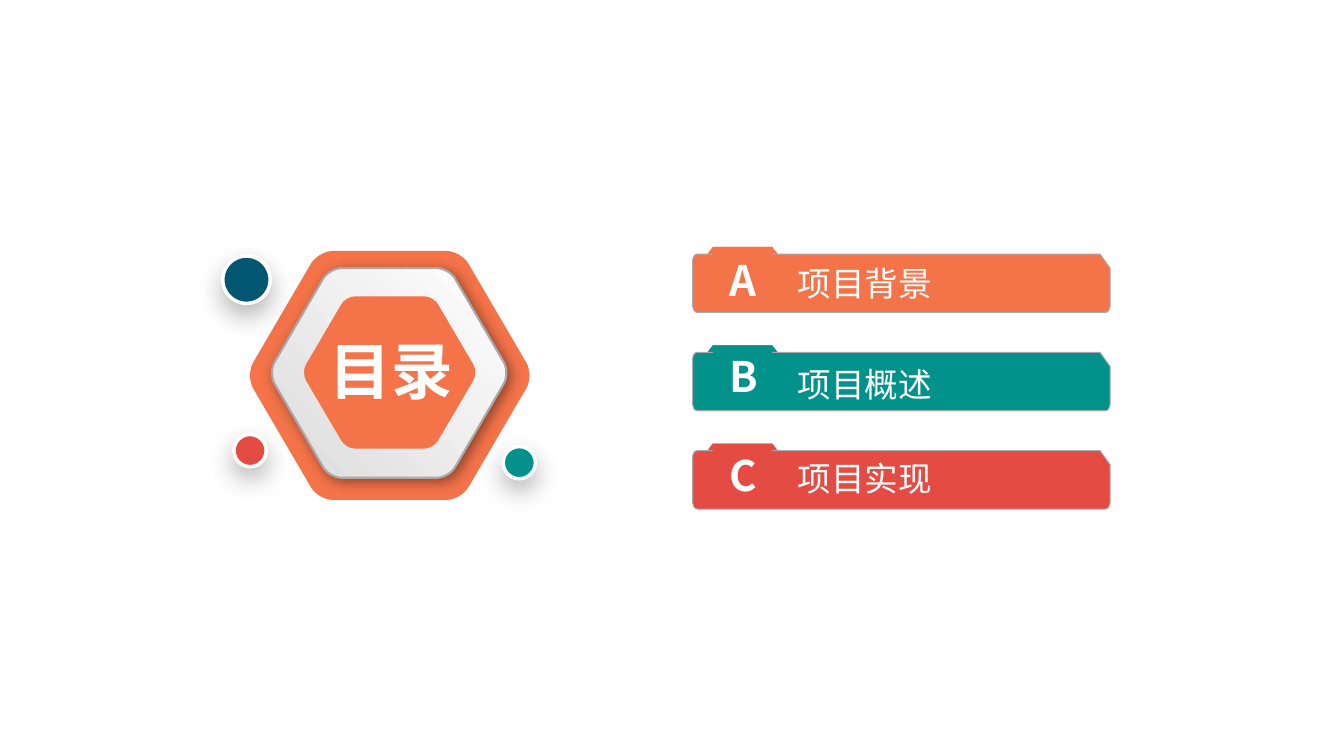
from dataclasses import dataclass

from lxml.etree import SubElement
from pptx import Presentation
from pptx.dml.color import RGBColor
from pptx.enum.shapes import MSO_SHAPE as Preset
from pptx.enum.text import MSO_ANCHOR as Anchor, MSO_AUTO_SIZE as AutoSize, PP_ALIGN as Align
from pptx.oxml.ns import qn
from pptx.util import Inches, Pt


@dataclass(frozen=True)
class Theme:
    font: str = "Noto Sans CJK SC"
    orange: str = "F47349"
    teal: str = "02918B"
    red: str = "E44B42"
    navy: str = "015672"
    white: str = "FFFFFF"
    silver: str = "DCDCDC"
    edge: str = "A8A9AD"
    black: str = "000000"
    charcoal: str = "262626"
    title_size: int = 44
    letter_size: int = 30
    label_size: int = 24


THEME = Theme()
ROW_TOP, ROW_PITCH = 2.45, 0.975
ROWS = [
    ("A", "项目背景", THEME.orange, 2.48, 2.57),
    ("B", "项目概述", THEME.teal, 3.44, 3.57),
    ("C", "项目实现", THEME.red, 4.42, 4.5),
]
DOTS = [
    (2.32, 4.31, 0.32, THEME.red),
    (4.99, 4.43, 0.32, THEME.teal),
    (2.21, 2.54, 0.47, THEME.navy),
]


def color(value):
    return RGBColor.from_string(value)


def style(shape, fill=None, line=None, line_width=0):
    shape.shadow.inherit = False
    if fill:
        shape.fill.solid()
        shape.fill.fore_color.rgb = color(fill)
    if line:
        shape.line.color.rgb = color(line)
        shape.line.width = Pt(line_width)
    else:
        shape.line.fill.background()
    return shape


def add_shadow(shape, tint, alpha, blur, distance, angle):
    effects = shape.element.spPr.find(qn("a:effectLst"))
    shadow = SubElement(effects, qn("a:outerShdw"), blurRad=str(Pt(blur)), dist=str(Pt(distance)),
                        dir=str(angle * 60000), algn="ctr", rotWithShape="0")
    shadow_color = SubElement(shadow, qn("a:srgbClr"), val=tint)
    SubElement(shadow_color, qn("a:alpha"), val=str(alpha * 1000))


def add_outline(shapes, corners):
    points = [(Inches(x), Inches(y)) for corner in corners for x, y in corner]
    builder = shapes.build_freeform(*points[0])
    builder.add_line_segments(points[1:], close=True)
    shape = builder.convert_to_shape()
    steps = list(shape.element.find(".//" + qn("a:moveTo")).getparent())
    position = 0
    for corner in corners:
        if len(corner) == 4:
            bend, *handles = steps[position + 1:position + 4]
            bend.tag = qn("a:cubicBezTo")
            for handle in handles:
                bend.append(handle[0])
                handle.getparent().remove(handle)
        position += len(corner)
    return shape


def add_hexagon(shapes, left, top, width, height):
    side = [(0.014, 0.551), (0, 0.523), (0, 0.477), (0.014, 0.449)]
    shoulder = [(0.219, 0.053), (0.233, 0.024), (0.269, 0), (0.298, 0)]
    upper = [side, shoulder, [(1 - x, y) for x, y in reversed(shoulder)]]
    lower = [[(1 - x, 1 - y) for x, y in corner] for corner in upper]
    return add_outline(shapes, [[(left + x * width, top + y * height) for x, y in corner]
                                for corner in upper + lower])


def write_text(shape, text, size, bold=False, align=Align.LEFT, anchor=Anchor.TOP,
               wrap=True, insets=(0.1, 0.05)):
    frame = shape.text_frame
    frame.word_wrap = wrap
    frame.auto_size = AutoSize.SHAPE_TO_FIT_TEXT
    frame.vertical_anchor = anchor
    frame.margin_left = frame.margin_right = Inches(insets[0])
    frame.margin_top = frame.margin_bottom = Inches(insets[1])
    paragraph = frame.paragraphs[0]
    paragraph.alignment = align
    run = paragraph.add_run()
    run.text = text
    run.font.name = THEME.font
    run.font.size = Pt(size)
    run.font.bold = bold
    run.font.color.rgb = color(THEME.white)
    properties = shape.element.find(".//" + qn("a:rPr"))
    SubElement(properties, qn("a:ea"), typeface=THEME.font)


def add_text(shapes, left, top, width, height, text, **text_format):
    box = shapes.add_textbox(Inches(left), Inches(top), Inches(width), Inches(height))
    write_text(box, text, insets=(0.07, 0.04), **text_format)


def add_row(slide, top, letter, label, fill, letter_top, label_top):
    shapes = slide.shapes.add_group_shape().shapes
    tab = [(7.07, top), (7.66, top), (7.73, top + 0.09), (7, top + 0.09)]
    style(add_outline(shapes, [[point] for point in tab]), fill)
    left, right, upper, lower = 6.87, 11.01, top + 0.07, top + 0.65
    body = [
        [(right - 0.1, upper)],
        [(right, upper + 0.14)],
        [(right, lower - 0.06), (right, lower - 0.03), (right - 0.02, lower), (right - 0.05, lower)],
        [(left + 0.05, lower), (left + 0.02, lower), (left, lower - 0.03), (left, lower - 0.06)],
        [(left, upper + 0.07), (left, upper + 0.03), (left + 0.02, upper), (left + 0.05, upper)],
    ]
    style(add_outline(shapes, body), fill, THEME.edge)
    patch = shapes.add_shape(Preset.RECTANGLE, Inches(7.07), Inches(top), Inches(0.59), Inches(0.61))
    style(patch, fill)
    add_text(shapes, 7.84, label_top, 2.92, 0.48, label, size=THEME.label_size)
    add_text(shapes, 7.17, letter_top, 0.46, 0.58, letter,
             size=THEME.letter_size, bold=True, wrap=False)


def add_badge(slide):
    style(add_hexagon(slide.shapes, 2.47, 2.49, 2.79, 2.47), THEME.orange)
    shapes = slide.shapes.add_group_shape().shapes
    ring = style(add_hexagon(shapes, 2.69, 2.66, 2.34, 2.08), line=THEME.edge, line_width=1.5)
    ring.fill.gradient()
    ring.fill.gradient_angle = 225
    for stop, tint in zip(ring.fill.gradient_stops, (THEME.white, THEME.silver)):
        stop.color.rgb = color(tint)
    add_shadow(ring, THEME.black, 40, 9, 3, 45)
    style(add_hexagon(shapes, 3.01, 2.94, 1.71, 1.51), THEME.orange)


def add_dot(slide, left, top, diameter, fill):
    dot = slide.shapes.add_shape(Preset.OVAL, Inches(left), Inches(top),
                                 Inches(diameter), Inches(diameter))
    style(dot, fill, THEME.white, 2.5)
    add_shadow(dot, THEME.charcoal, 33, 18, 8, 90)


def place_title(slide, text):
    title = slide.shapes.title
    title.left, title.top = Inches(3.17), Inches(3.25)
    title.width, title.height = Inches(1.55), Inches(0.84)
    write_text(title, text, THEME.title_size, bold=True)
    slide.shapes.element.append(title.element)


def main():
    presentation = Presentation()
    presentation.slide_width, presentation.slide_height = Inches(13.33), Inches(7.5)
    slide = presentation.slides.add_slide(presentation.slide_layouts[5])
    for index, row in enumerate(ROWS):
        add_row(slide, ROW_TOP + index * ROW_PITCH, *row)
    add_badge(slide)
    for dot in DOTS:
        add_dot(slide, *dot)
    place_title(slide, "目录")
    presentation.save("out.pptx")


if __name__ == "__main__":
    main()
